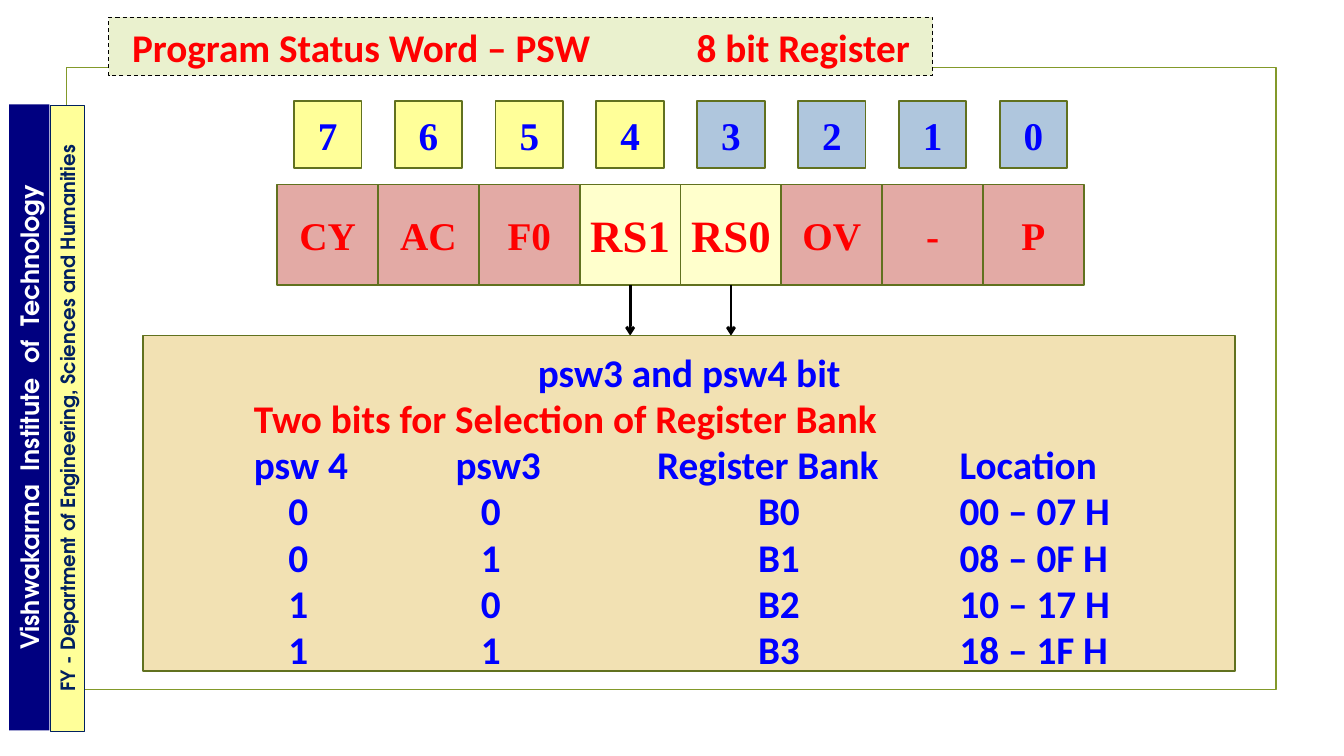
from pptx import Presentation
from pptx.dml.color import RGBColor
from pptx.enum.dml import MSO_LINE
from pptx.enum.shapes import MSO_CONNECTOR, MSO_SHAPE
from pptx.enum.text import MSO_ANCHOR, PP_ALIGN
from pptx.oxml.ns import qn
from pptx.util import Inches, Pt
from lxml.etree import SubElement

RED, BLUE, OLIVE = "FF0000", "0000FF", "61711F"
SERIF, SANS, SIDE_FONT = "Times New Roman", "Calibri", "TeX Gyre Adventor"

TITLE = "Program Status Word – PSW\t8 bit Register"
FLAGS = ["CY", "AC", "F0", "RS1", "RS0", "OV", "-", "P"]
BANK_BITS = ("RS1", "RS0")
BANK_HEADING = "psw3 and psw4 bit"
BANK_SUBHEADING = "Two bits for Selection of Register Bank"
BANK_COLUMNS = ["psw 4", "psw3", "Register Bank", "Location"]
BANKS = [
    ("0", "0", "B0", "00 – 07 H"),
    ("0", "1", "B1", "08 – 0F H"),
    ("1", "0", "B2", "10 – 17 H"),
    ("1", "1", "B3", "18 – 1F H"),
]
HEADER_TABS = [(1, "l"), (3, "l"), (5, "l"), (8, "l")]
BANK_TABS = [(1.44, "ctr"), (3.35, "ctr"), (6, "l"), (8, "l")]
# text, centre x, centre y, thickness, fill, line, text colour, size
SIDEBARS = [
    ("Vishwakarma  Institute  of  Technology",
     0.29, 4.14, 0.4, "000080", None, "FFFFFF", 18),
    ("FY - Department of Engineering, Sciences and Humanities",
     0.67, 4.15, 0.34, "FFFF99", "002060", "002060", 14),
]
SIDEBAR_LENGTH = 6.21
ROW_LEFT, FLAG_TOP, FLAG_SIZE = 2.75, 1.83, 1
NUMBER_TOP, NUMBER_SIZE = 1, 0.67
BANK_TOP = 3.33


def color(hex_string):
    return RGBColor.from_string(hex_string)


def paint(shape, fill, line, width):
    if fill:
        shape.fill.solid()
        shape.fill.fore_color.rgb = color(fill)
    else:
        shape.fill.background()
    if line:
        shape.line.color.rgb = color(line)
        shape.line.width = Pt(width)
    else:
        shape.line.fill.background()


def add_box(left, top, width, height, fill, line=OLIVE, line_width=1.25):
    shape = slide.shapes.add_shape(
        MSO_SHAPE.RECTANGLE, Inches(left), Inches(top), Inches(width), Inches(height))
    shape.shadow.inherit = False
    paint(shape, fill, line, line_width)
    return shape


def write(paragraph, text, font, size, text_color, align=PP_ALIGN.CENTER, tabs=()):
    """Add one bold run; tabs are (inches, alignment) pairs."""
    paragraph.alignment = align
    if tabs:
        tab_list = SubElement(paragraph._p.get_or_add_pPr(), qn("a:tabLst"))
        for position, kind in tabs:
            SubElement(tab_list, qn("a:tab"), pos=str(Inches(position)), algn=kind)
    run = paragraph.add_run()
    run.text = text
    run.font.name = font
    run.font.size = Pt(size)
    run.font.bold = True
    run.font.color.rgb = color(text_color)


def add_label(shape, text, font, size, text_color):
    frame = shape.text_frame
    frame.vertical_anchor = MSO_ANCHOR.MIDDLE
    write(frame.paragraphs[0], text, font, size, text_color)


def add_arrow(x, top, bottom):
    arrow = slide.shapes.add_connector(
        MSO_CONNECTOR.STRAIGHT, Inches(x), Inches(top), Inches(x), Inches(bottom))
    arrow.line.color.rgb = color("000000")
    arrow.line.width = Pt(2)
    SubElement(arrow.line._get_or_add_ln(), qn("a:tailEnd"), type="arrow")
    SubElement(arrow._element.spPr, qn("a:effectLst"))


def add_title():
    title = slide.shapes.title
    title.left, title.top = Inches(1.08), Inches(0.17)
    title.width, title.height = Inches(8.17), Inches(0.58)
    paint(title, "EAF1CE", "000000", 0.75)
    title.line.dash_style = MSO_LINE.DASH
    frame = title.text_frame
    frame.vertical_anchor = MSO_ANCHOR.MIDDLE
    frame.margin_left = Inches(0.23)
    frame.margin_right = 0
    write(frame.paragraphs[0], TITLE, SANS, 28, RED, PP_ALIGN.LEFT, [(5.6, "l")])
    return title


def add_register():
    for index, flag in enumerate(FLAGS):
        left = ROW_LEFT + index * FLAG_SIZE
        selects_bank = flag in BANK_BITS
        cell = add_box(left, FLAG_TOP, FLAG_SIZE, FLAG_SIZE,
                       "FFFFCC" if selects_bank else "E3AAA5")
        cell.text_frame.margin_left = cell.text_frame.margin_right = Inches(0.05)
        add_label(cell, flag, SERIF, 32 if selects_bank else 28, RED)

        bit = len(FLAGS) - 1 - index
        number = add_box(left + (FLAG_SIZE - NUMBER_SIZE) / 2, NUMBER_TOP,
                         NUMBER_SIZE, NUMBER_SIZE, "FFFF99" if bit > 3 else "AFC6DD")
        add_label(number, str(bit), SERIF, 28, BLUE)
        if selects_bank:
            add_arrow(left + FLAG_SIZE / 2, FLAG_TOP + FLAG_SIZE, BANK_TOP)


def add_banks():
    frame = add_box(1.42, BANK_TOP, 10.83, 3.33, "F2E1B3").text_frame
    frame.vertical_anchor = MSO_ANCHOR.TOP
    frame.margin_top = Inches(0.15)
    frame.margin_bottom = 0
    lines = [
        (BANK_HEADING, BLUE, PP_ALIGN.CENTER, ()),
        ("\t" + BANK_SUBHEADING, RED, PP_ALIGN.LEFT, HEADER_TABS),
        ("\t" + "\t".join(BANK_COLUMNS), BLUE, PP_ALIGN.LEFT, HEADER_TABS),
    ]
    lines += [("\t" + "\t".join(bank), BLUE, PP_ALIGN.LEFT, BANK_TABS) for bank in BANKS]
    for index, (text, text_color, align, tabs) in enumerate(lines):
        paragraph = frame.add_paragraph() if index else frame.paragraphs[0]
        paragraph.line_spacing = 0.98
        write(paragraph, text, SANS, 28, text_color, align, tabs)


def add_sidebars():
    for text, x, y, thickness, fill, line, text_color, size in SIDEBARS:
        bar = add_box(x - SIDEBAR_LENGTH / 2, y - thickness / 2,
                      SIDEBAR_LENGTH, thickness, fill, line, 0.75)
        bar.rotation = 270
        add_label(bar, text, SIDE_FONT, size, text_color)


presentation = Presentation()
presentation.slide_width = Inches(13.33)
presentation.slide_height = Inches(7.5)
slide = presentation.slides.add_slide(presentation.slide_layouts[5])

title = add_title()
border = add_box(0.66, 0.67, 12, 6.17, None, "83992A")
title._element.addprevious(border._element)  # border goes behind the title
add_register()
add_banks()
add_sidebars()
presentation.save("out.pptx")
